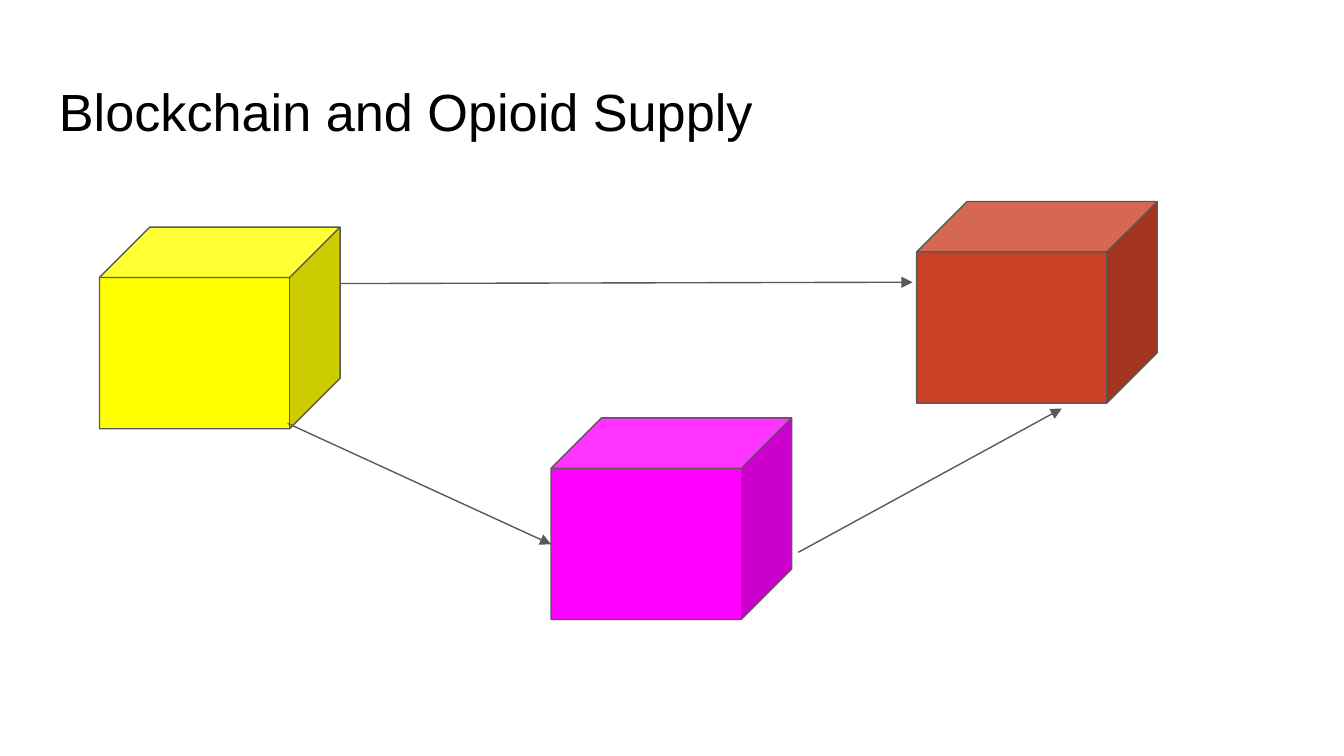
from lxml.etree import SubElement
from pptx import Presentation
from pptx.dml.color import RGBColor
from pptx.enum.shapes import MSO_CONNECTOR, MSO_SHAPE
from pptx.enum.text import MSO_ANCHOR, PP_ALIGN
from pptx.oxml.ns import qn
from pptx.util import Inches, Pt

COLORS = {
    "background": "FFFFFF",
    "title": "000000",
    "outline": "595959",
    "yellow": "FFFF00",
    "magenta": "FF00FF",
    "red": "CC4125",
}
CELL = Inches(0.1)  # the slide is a grid of 100 columns by 56.25 rows
COLUMNS, ROWS = 100, 56.25
TITLE_BOX = (3.4, 4.9, 93.2, 6.3)
DIAGRAM_BOX = (7.4, 15, 78.7, 31.1)
CUBE_SIZE = (17.9, 15)

# Column and row of each cube inside the diagram
CUBES = {"yellow": (0, 1.9), "magenta": (33.6, 16.1), "red": (60.8, 0)}

# Each end is a cube and an offset from its top left corner
ARROWS = [
    (("yellow", 14, 14.6), ("magenta", 0, 9.4)),
    (("magenta", 18.4, 10), ("red", 10.8, 15.4)),
    (("yellow", 17.9, 4.2), ("red", -0.3, 6)),
]


def cells(*values):
    return [round(value * CELL) for value in values]


def color(name):
    return RGBColor.from_string(COLORS[name])


def style_outline(line):
    line.color.rgb = color("outline")
    line.width = Pt(0.75)


def add_title(slide, box, text):
    frame = slide.shapes.add_textbox(*cells(*box)).text_frame
    frame.word_wrap = True
    frame.vertical_anchor = MSO_ANCHOR.TOP
    frame.margin_left = frame.margin_right = CELL
    frame.margin_top = frame.margin_bottom = CELL
    paragraph = frame.paragraphs[0]
    paragraph.alignment = PP_ALIGN.LEFT
    run = paragraph.add_run()
    run.text = text
    run.font.name = "Arial"
    run.font.size = Pt(28)
    run.font.color.rgb = color("title")


def add_cube(slide, box, fill):
    cube = slide.shapes.add_shape(MSO_SHAPE.CUBE, *cells(*box))
    cube.adjustments[0] = 0.25
    cube.shadow.inherit = False
    cube.fill.solid()
    cube.fill.fore_color.rgb = color(fill)
    style_outline(cube.line)


def add_arrow(slide, start, end):
    arrow = slide.shapes.add_connector(
        MSO_CONNECTOR.STRAIGHT, *cells(*start, *end)
    )
    style_outline(arrow.line)
    properties = arrow._element.spPr
    SubElement(properties.find(qn("a:ln")), qn("a:tailEnd"), type="triangle")
    SubElement(properties, qn("a:effectLst"))


def add_supply_diagram(slide, box):
    """Place the cubes and the arrows between them inside the box."""
    left, top = box[:2]

    def point(cube, column=0, row=0):
        cube_column, cube_row = CUBES[cube]
        return left + cube_column + column, top + cube_row + row

    for name in CUBES:
        add_cube(slide, (*point(name), *CUBE_SIZE), name)
    for start, end in ARROWS:
        add_arrow(slide, point(*start), point(*end))


def main():
    presentation = Presentation()
    presentation.slide_width, presentation.slide_height = cells(COLUMNS, ROWS)
    slide = presentation.slides.add_slide(presentation.slide_layouts[6])
    slide.background.fill.solid()
    slide.background.fill.fore_color.rgb = color("background")
    add_title(slide, TITLE_BOX, "Blockchain and Opioid Supply")
    add_supply_diagram(slide, DIAGRAM_BOX)
    presentation.save("out.pptx")


if __name__ == "__main__":
    main()
